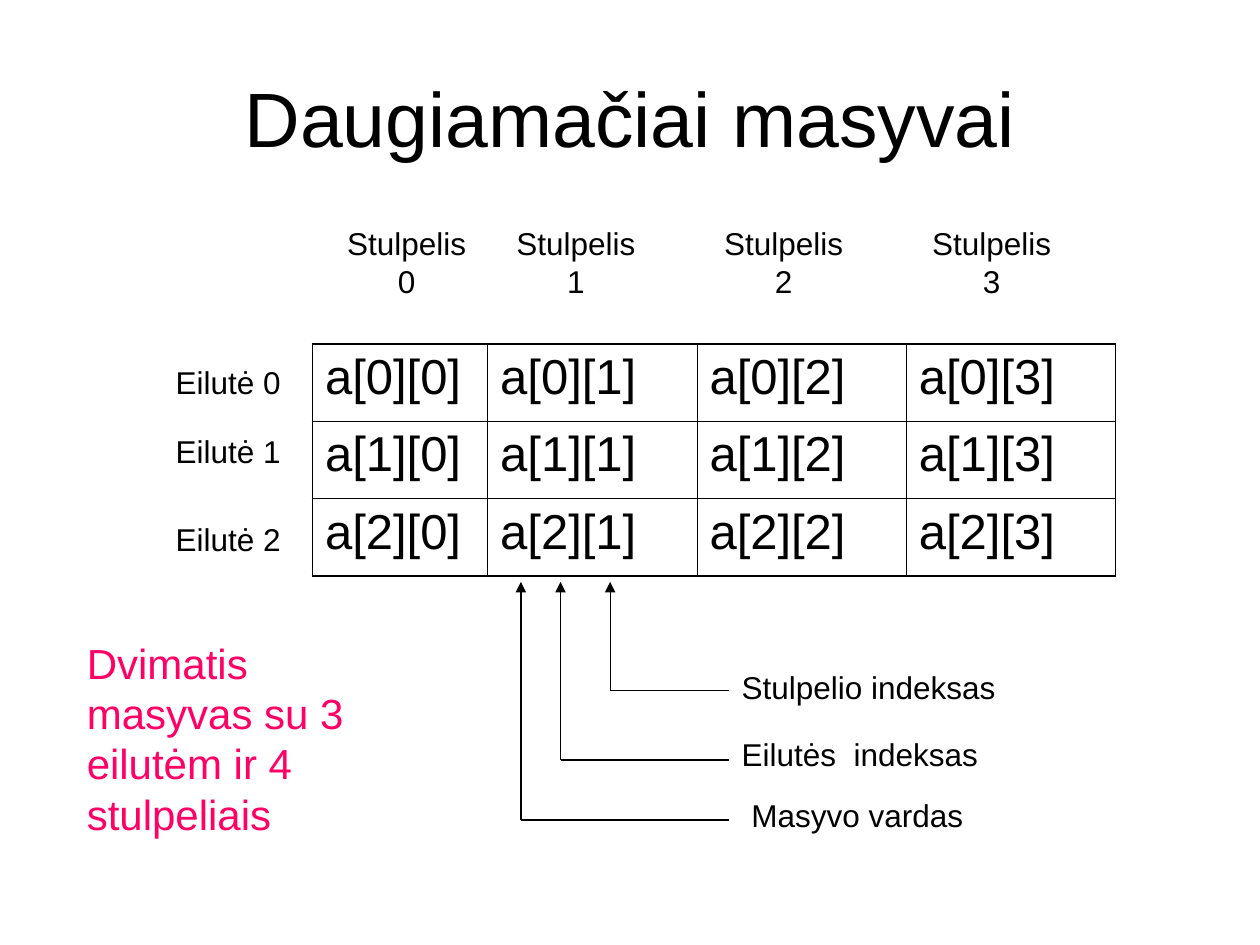
import pptx
import pptx.util
import pptx.dml.color
import pptx.enum.shapes
import pptx.enum.text
import pptx.oxml
import pptx.oxml.ns
from lxml import etree

Cm = pptx.util.Cm
Pt = pptx.util.Pt
ALIGN = pptx.enum.text.PP_ALIGN
ANCHOR = pptx.enum.text.MSO_ANCHOR
AUTO_SIZE = pptx.enum.text.MSO_AUTO_SIZE

BLACK = pptx.dml.color.RGBColor(0x00, 0x00, 0x00)
PINK = pptx.dml.color.RGBColor(0xFF, 0x00, 0x66)
FONT = "Arial"

ROWS, COLUMNS = 3, 4
OUTER_BORDER, INNER_BORDER = Pt(1.08), Pt(0.45)
LABEL_WIDTH = 3.4
ARROW_TOP = 11.73
BRANCH_RIGHT = 14.7


def add_run(paragraph, text, size, color=BLACK):
    run = paragraph.add_run()
    run.text = text
    run.font.name = FONT
    run.font.size = Pt(size)
    run.font.color.rgb = color


def add_text(slide, box, lines, size, color=BLACK, align=ALIGN.LEFT,
             before=11.2, spacing=None, anchor=ANCHOR.TOP,
             auto_size=AUTO_SIZE.SHAPE_TO_FIT_TEXT):
    shape = slide.shapes.add_textbox(*[Cm(length) for length in box])
    frame = shape.text_frame
    frame.word_wrap = True
    frame.auto_size = auto_size
    frame.vertical_anchor = anchor
    for index, line in enumerate(lines):
        paragraph = frame.add_paragraph() if index else frame.paragraphs[0]
        paragraph.alignment = align
        paragraph.space_before = Pt(before)
        if spacing:
            paragraph.line_spacing = spacing
        add_run(paragraph, line, size, color)


def add_label(slide, left, top, height, lines):
    add_text(slide, (left, top, LABEL_WIDTH, height), lines, 18,
             align=ALIGN.CENTER, spacing=0.5)


def set_border(cell, side, width):
    properties = cell._tc.get_or_add_tcPr()
    line = etree.SubElement(properties, pptx.oxml.ns.qn(f"a:ln{side}"), w=str(width))
    fill = etree.SubElement(line, pptx.oxml.ns.qn("a:solidFill"))
    etree.SubElement(fill, pptx.oxml.ns.qn("a:srgbClr"), val=str(BLACK))


def add_array_table(slide):
    widths = [3.53] + [4.22] * (COLUMNS - 1)
    row_height = 1.56
    table = slide.shapes.add_table(
        ROWS, COLUMNS, Cm(6.3), Cm(6.93),
        Cm(sum(widths)), Cm(row_height * ROWS)).table
    table.first_row = False
    table.horz_banding = False
    for column, width in zip(table.columns, widths):
        column.width = Cm(width)
    for i, row in enumerate(table.rows):
        row.height = Cm(row_height)
        for j, cell in enumerate(row.cells):
            outer_sides = {"L": j == 0, "R": j == COLUMNS - 1,
                           "T": i == 0, "B": i == ROWS - 1}
            for side, outer in outer_sides.items():
                set_border(cell, side, OUTER_BORDER if outer else INNER_BORDER)
            cell.fill.background()
            paragraph = cell.text_frame.paragraphs[0]
            paragraph.space_before = Pt(7)
            add_run(paragraph, f"a[{i}][{j}]", 28)


def add_line(slide, start, end, arrow=False):
    connector = slide.shapes.add_connector(
        pptx.enum.shapes.MSO_CONNECTOR.STRAIGHT,
        *[Cm(length) for length in start + end])
    connector.line.color.rgb = BLACK
    connector.line.width = Pt(0.75)
    if arrow:
        etree.SubElement(connector.line._get_or_add_ln(),
                         pptx.oxml.ns.qn("a:tailEnd"), type="triangle")
    etree.SubElement(connector._element.spPr, pptx.oxml.ns.qn("a:effectLst"))


def add_index_pointer(slide, x, y, text, text_left, text_top):
    add_line(slide, (BRANCH_RIGHT, y), (x, y))
    add_line(slide, (x, y), (x, ARROW_TOP), arrow=True)
    add_text(slide, (text_left, text_top, 6.2, 1.02), [text], 18)


def main():
    presentation = pptx.Presentation()
    presentation.slide_width = Cm(25.4)
    presentation.slide_height = Cm(19.05)
    slide = presentation.slides.add_slide(presentation.slide_layouts[6])

    # Title
    add_text(slide, (1.27, 0.76, 22.86, 3.18), ["Daugiamačiai masyvai"], 44,
             align=ALIGN.CENTER, before=0, anchor=ANCHOR.MIDDLE,
             auto_size=AUTO_SIZE.NONE)

    # Array with row and column labels
    add_array_table(slide)
    for number, top in enumerate((7.52, 8.92, 10.69)):
        add_label(slide, 2.9, top, 0.64, [f"Eilutė {number}"])
    for number, left in enumerate((6.5, 9.91, 14.1, 18.29)):
        add_label(slide, left, 4.72, 1.42, ["Stulpelis", str(number)])

    # Pointers to the parts of an element's name
    add_index_pointer(slide, 12.3, 13.92, "Stulpelio indeksas", 14.7, 13.34)
    add_index_pointer(slide, 11.3, 15.32, "Eilutės  indeksas", 14.7, 14.7)
    add_index_pointer(slide, 10.5, 16.53, "Masyvo vardas", 14.9, 15.93)

    # Summary
    add_text(slide, (1.5, 12.72, 6, 4.32),
             ["Dvimatis masyvas su 3 eilutėm ir 4 stulpeliais"], 24,
             color=PINK, before=15)

    presentation.save("out.pptx")


if __name__ == "__main__":
    main()
